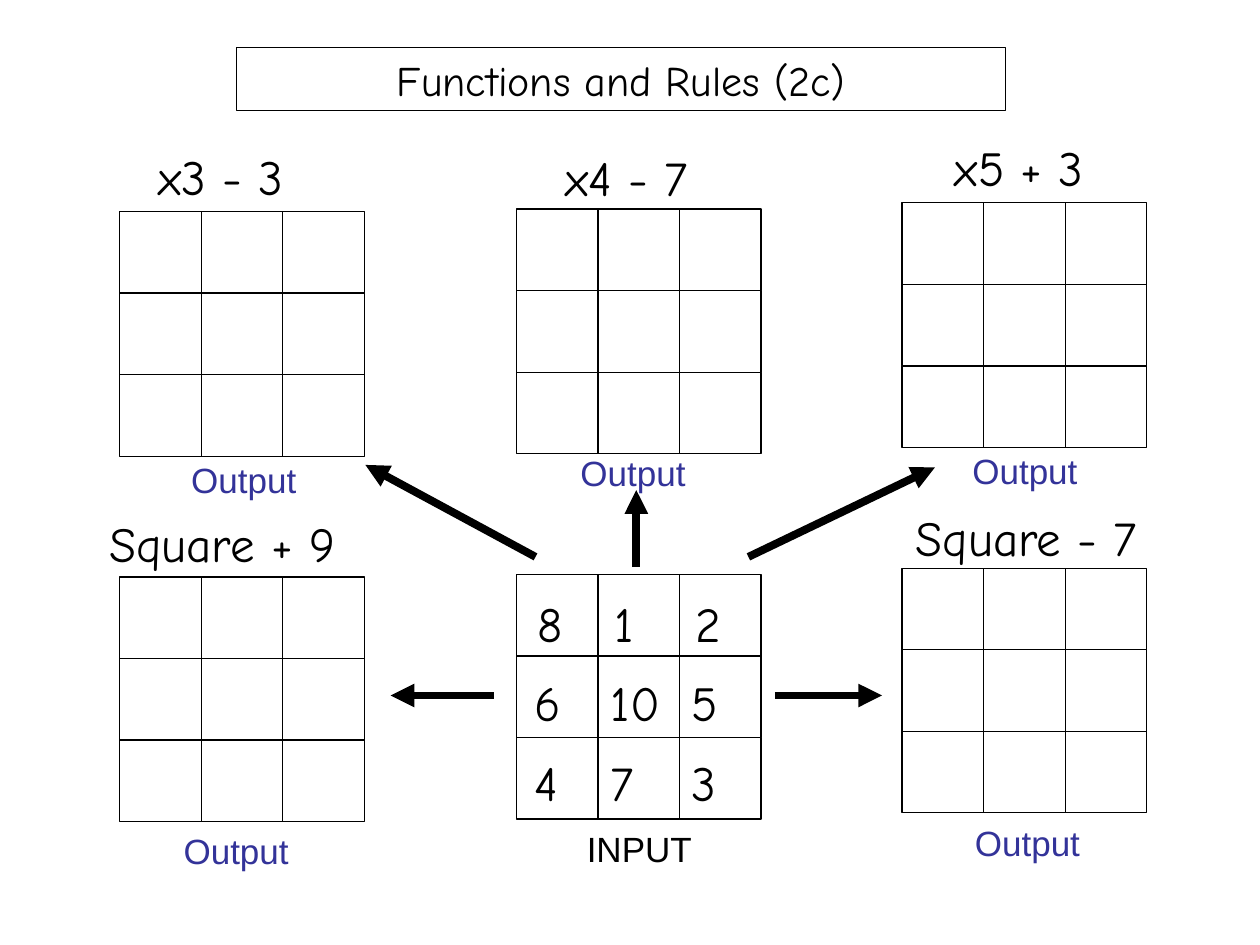
import pptx
import pptx.util
import pptx.dml.color
import pptx.enum.shapes
import pptx.enum.text
import pptx.oxml
import pptx.oxml.ns

BLACK, INDIGO = "000000", "333399"
CELL, ROW_STEP = 0.647, 2.9
COLUMNS = [(0.95, 1.68), (4.1, 1.66), (7.16, 1.61)]
TITLE = ("Functions and Rules (2c)", (1.88, 0.38, 6.1, 0.5))

# column, row, rule (text, left and top shift from grid, width), label (text, left and top shift)
GRIDS = [
    (0, 0, ("x3 - 3", 0.21, -0.57, 1.42), ("Output", 0.17, -0.03)),
    (1, 0, ("x4 - 7", 0.29, -0.54, 1.42), ("Output", 0.11, -0.07)),
    (2, 0, ("x5 + 3", 0.32, -0.57, 1.42), ("Output", 0.16, -0.03)),
    (0, 1, ("Square + 9", -0.18, -0.55, 2.23), ("Output", 0.11, 0.01)),
    (1, 1, None, ("INPUT", 0.16, 0.02)),
    (2, 1, ("Square - 7", 0.01, -0.53, 2.13), ("Output", 0.18, 0.02)),
]
NUMBERS = [("8", "1", "2"), ("6", "10", "5"), ("4", "7", "3")]
NUMBER_LEFTS, NUMBER_TOP, NUMBER_STEP = (4.14, 4.75, 5.39), 4.66, 0.63
ROW_SHIFTS = (0.03, 0, 0)
ARROWS = [
    (5.94, 4.42, 7.42, 3.71),
    (4.25, 4.42, 2.9, 3.69),
    (5.05, 4.5, 5.05, 3.89),
    (3.92, 5.52, 3.1, 5.52),
    (6.15, 5.52, 7, 5.52),
]

HAND = {"name": "Comic Neue", "size": pptx.util.Pt(28)}
HEADING = {"name": "Comic Neue", "size": pptx.util.Pt(24)}
PLAIN = {"name": "Arial", "size": pptx.util.Pt(20)}
FRAME = {
    "word_wrap": True,
    "vertical_anchor": pptx.enum.text.MSO_ANCHOR.TOP,
    "auto_size": pptx.enum.text.MSO_AUTO_SIZE.SHAPE_TO_FIT_TEXT,
}
LEFT, CENTER = pptx.enum.text.PP_ALIGN.LEFT, pptx.enum.text.PP_ALIGN.CENTER


def inches(values):
    return [pptx.util.Inches(value) for value in values]


def color(value):
    return pptx.dml.color.RGBColor.from_string(value)


def apply(target, values):
    for name, value in values.items():
        setattr(target, name, value)


def write(box, text, font, align, ink=BLACK):
    apply(box.text_frame, FRAME)
    para = box.text_frame.paragraphs[0]
    para.alignment = align
    span = para.add_run()
    span.text = text
    apply(span.font, font)
    span.font.color.rgb = color(ink)


def add_text(shapes, place, text, font, align=LEFT, ink=BLACK):
    write(shapes.add_textbox(*inches(place)), text, font, align, ink)


def add_rectangle(shapes, place):
    box = shapes.add_shape(pptx.enum.shapes.MSO_SHAPE.RECTANGLE, *inches(place))
    box.shadow.inherit = False
    box.fill.background()
    box.line.color.rgb = color(BLACK)
    box.line.width = pptx.util.Pt(0.75)
    return box


def add_grid(page, left, top):
    group = page.shapes.add_group_shape()
    for row in range(3):
        for column in range(3):
            add_rectangle(group.shapes, (left + column * CELL, top + row * CELL, CELL, CELL))


def add_numbers(page):
    group = page.shapes.add_group_shape()
    for row, (numbers, shift) in enumerate(zip(NUMBERS, ROW_SHIFTS)):
        for left, number in zip(NUMBER_LEFTS, numbers):
            place = (left + shift, NUMBER_TOP + row * NUMBER_STEP, 0.65, 0.57)
            add_text(group.shapes, place, number, HAND)


def add_arrow(page, ends):
    arrow = page.shapes.add_connector(pptx.enum.shapes.MSO_CONNECTOR.STRAIGHT, *inches(ends))
    arrow.line.color.rgb = color(BLACK)
    arrow.line.width = pptx.util.Pt(4.5)
    tail = pptx.oxml.parse_xml(f'<a:tailEnd {pptx.oxml.ns.nsdecls("a")} type="triangle"/>')
    arrow.line._get_or_add_ln().append(tail)
    effects = pptx.oxml.parse_xml(f'<a:effectLst {pptx.oxml.ns.nsdecls("a")}/>')
    arrow._element.spPr.append(effects)


def main():
    deck = pptx.Presentation()
    deck.slide_width, deck.slide_height = inches((10, 7.5))
    page = deck.slides.add_slide(deck.slide_layouts[6])

    title, place = TITLE
    write(add_rectangle(page.shapes, place), title, HEADING, CENTER)

    for column, row, rule, (label, label_x, label_y) in GRIDS:
        left, first_top = COLUMNS[column]
        top = first_top + row * ROW_STEP
        add_grid(page, left, top)
        if rule:
            text, rule_x, rule_y, width = rule
            add_text(page.shapes, (left + rule_x, top + rule_y, width, 0.57), text, HAND)
        place = (left + label_x, top + 3 * CELL + label_y, 1.63, 0.44)
        ink = INDIGO if rule else BLACK
        add_text(page.shapes, place, label, PLAIN, CENTER, ink)

    add_numbers(page)
    for ends in ARROWS:
        add_arrow(page, ends)
    deck.save("out.pptx")


if __name__ == "__main__":
    main()
